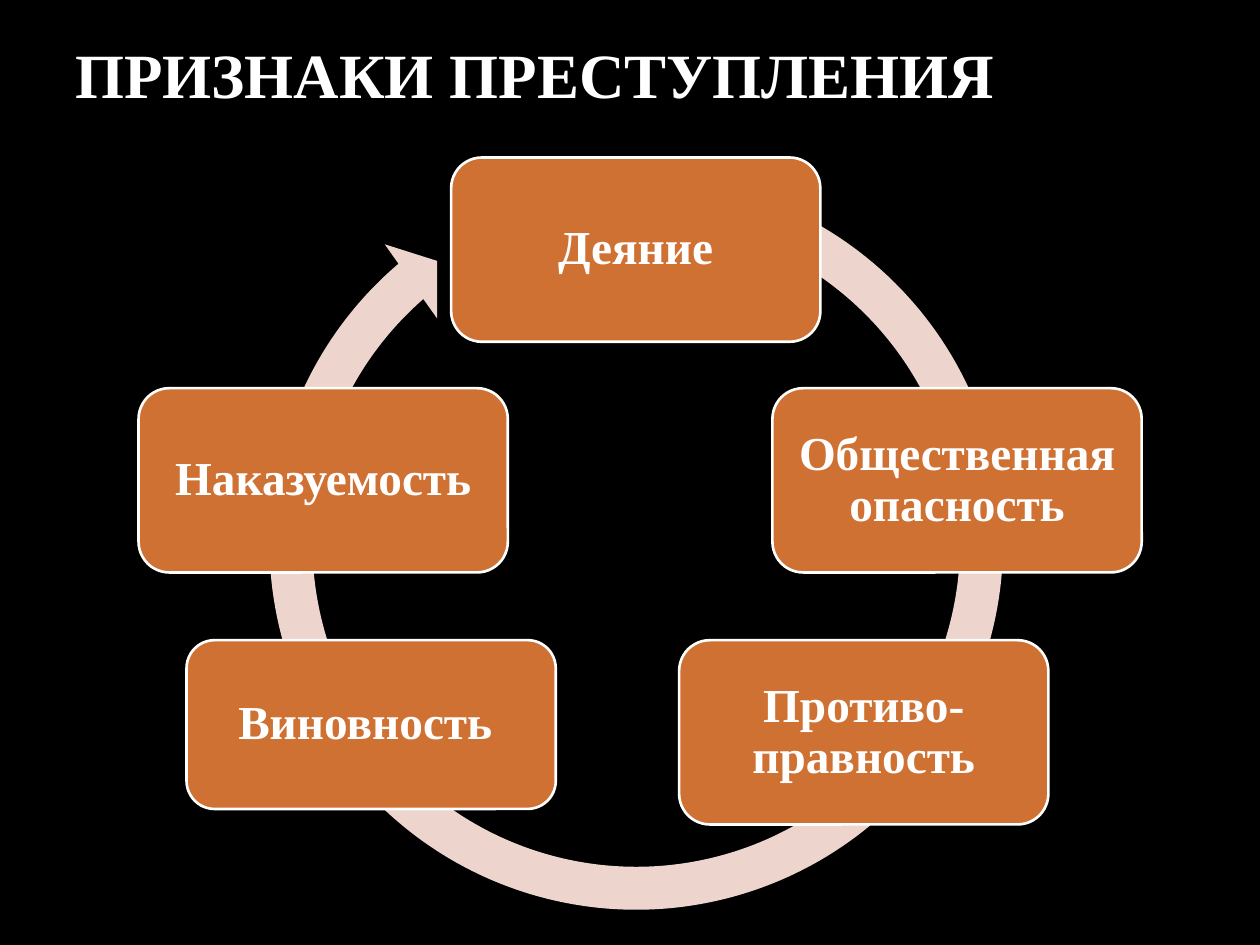
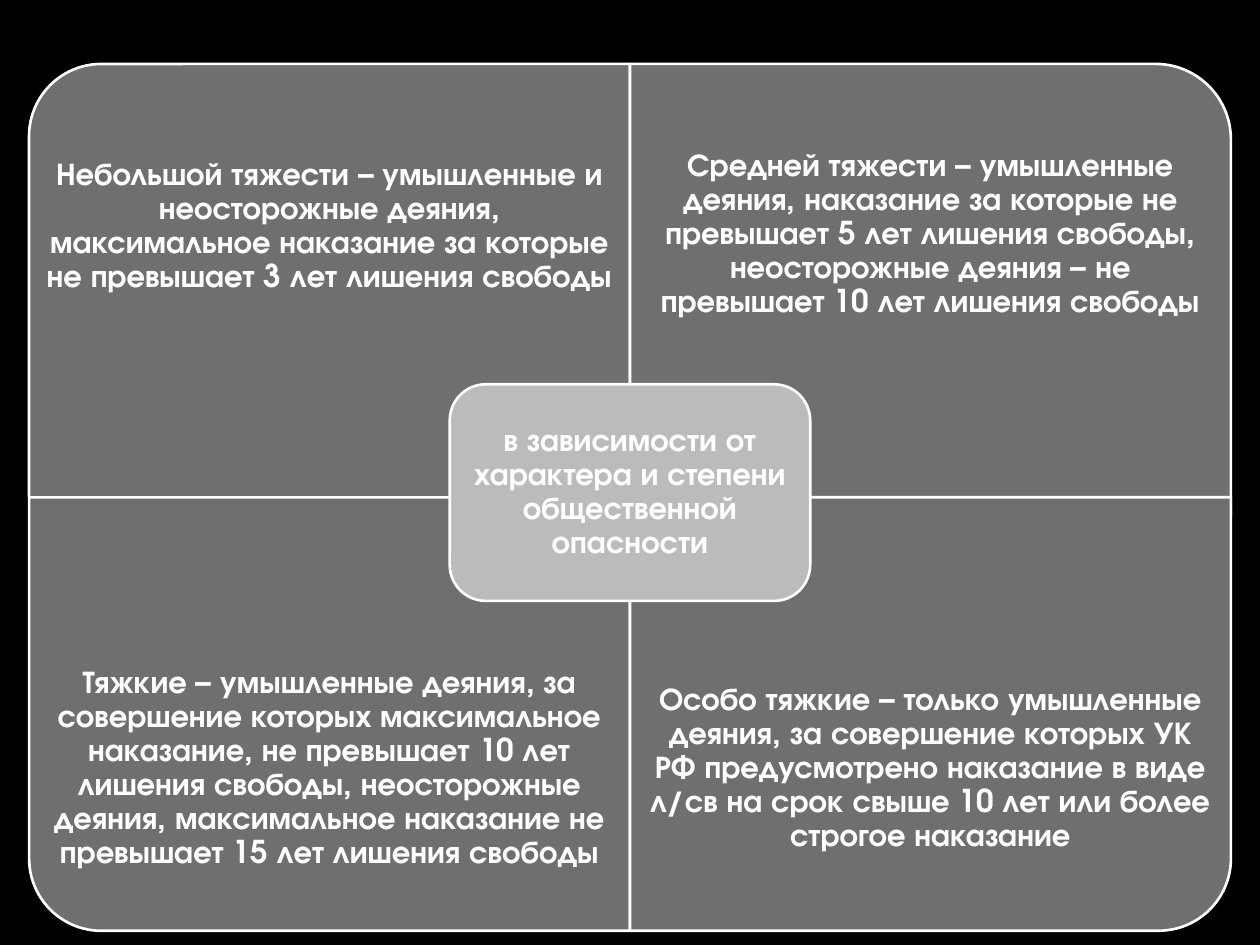
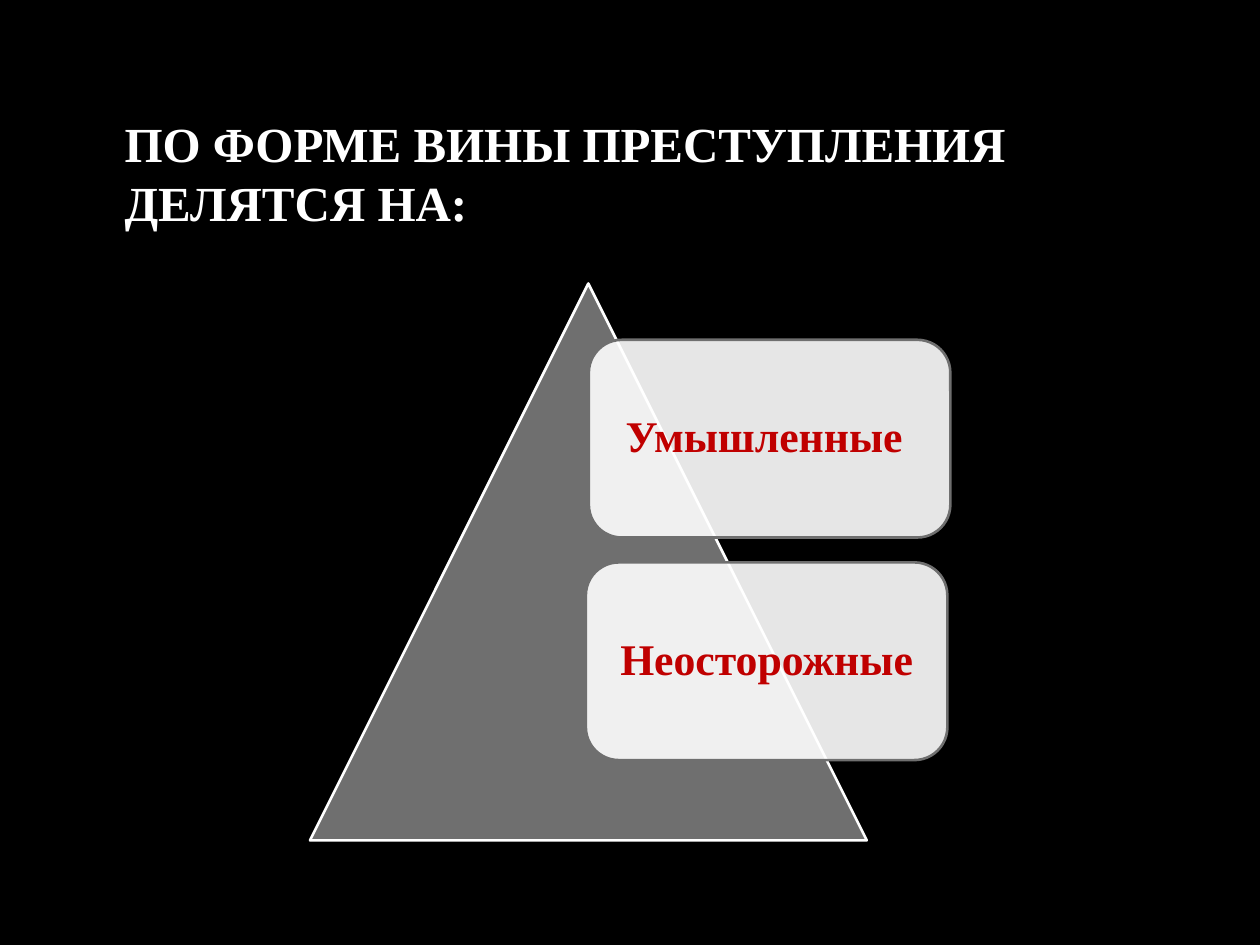
from lxml import etree
from pptx import Presentation
from pptx.dml.color import RGBColor
from pptx.enum.shapes import MSO_SHAPE
from pptx.enum.text import MSO_ANCHOR, PP_ALIGN
from pptx.oxml.ns import qn
from pptx.util import Pt

ROUNDED = MSO_SHAPE.ROUNDED_RECTANGLE
ONE_ROUND = MSO_SHAPE.ROUND_1_RECTANGLE
TRIANGLE = MSO_SHAPE.ISOSCELES_TRIANGLE
RING_ARROW = MSO_SHAPE.CIRCULAR_ARROW
LEFT, CENTER = PP_ALIGN.LEFT, PP_ALIGN.CENTER
MIDDLE = MSO_ANCHOR.MIDDLE

SERIF, SANS = "Times New Roman", "TeX Gyre Adventor"
BLACK, WHITE, RED = "000000", "FFFFFF", "C00000"
ORANGE, PINK = "CF7133", "EDD5CE"
GRAY, LIGHT_GRAY = "6F6F6F", "BBBBBB"
LINE_WIDTH = 1.5

SIGN_SIZE = (211, 105.3)
SIGNS = [
    ("Деяние", 257.8, 90, 105.3),
    ("Общественная опасность", 441.4, 221.8, 105.3),
    ("Противо-правность", 388.1, 365.8, 105.3),
    ("Виновность ", 106.6, 365.8, 96.5),
    ("Наказуемость", 79.2, 221.8, 105.3),
]

QUAD_W, QUAD_H = 343.4, 247.7
QUAD_LEFT, QUAD_TOP = 16.6, 36.5
# text, column, row, rotation, height, text height
CATEGORIES = [
    ("Небольшой тяжести – умышленные и неосторожные деяния, максимальное "
     "наказание за которые не превышает 3 лет лишения свободы",
     0, 0, 270, QUAD_H, 185.8),
    ("Средней тяжести – умышленные деяния, наказание за которые не "
     "превышает 5 лет лишения свободы, неосторожные деяния – не превышает "
     "10 лет лишения свободы", 1, 0, 0, 258.5, 194.4),
    ("Тяжкие – умышленные деяния, за совершение которых максимальное "
     "наказание, не превышает 10 лет лишения свободы, неосторожные деяния, "
     "максимальное наказание не превышает 15 лет лишения свободы",
     0, 1, 180, QUAD_H, 185.8),
    ("Особо тяжкие – только умышленные деяния, за совершение которых УК РФ "
     "предусмотрено наказание в виде л/св на срок свыше 10 лет или более "
     "строгое наказание", 1, 1, 90, QUAD_H, 185.8),
]

GUILT_FORMS = [("Умышленные ", 336.5, 194.2), ("Неосторожные", 334.8, 321.4)]


def rgb(value):
    return RGBColor.from_string(value)


def add_slide(prs):
    slide = prs.slides.add_slide(prs.slide_layouts[6])
    fill = slide.background.fill
    fill.solid()
    fill.fore_color.rgb = rgb(BLACK)
    return slide


def set_text(sp, text, size, font=SERIF, color=WHITE, margins=(7.2, 3.6),
             align=CENTER, spacing=0.9):
    """Write one bold paragraph, vertically centred; margins are (x, y)."""
    tf = sp.text_frame
    x, y = (Pt(m) for m in margins)
    frame = {"word_wrap": True, "vertical_anchor": MIDDLE, "margin_left": x,
             "margin_right": x, "margin_top": y, "margin_bottom": y}
    for name, value in frame.items():
        setattr(tf, name, value)
    p = tf.paragraphs[0]
    p.alignment, p.line_spacing = align, spacing
    r = p.add_run()
    r.text = text
    for name, value in {"name": font, "size": Pt(size), "bold": True}.items():
        setattr(r.font, name, value)
    r.font.color.rgb = rgb(color)


def add_text(slide, box, text, size, **style):
    sp = slide.shapes.add_textbox(*map(Pt, box))
    set_text(sp, text, size, **style)


def add_title(slide, box, text, size):
    add_text(slide, box, text, size, align=LEFT, spacing=1.0)


def add_shape(slide, kind, box, fill, line=WHITE, alpha=None):
    """Draw a preset shape; alpha is the opacity of its fill in percent."""
    sp = slide.shapes.add_shape(kind, *map(Pt, box))
    sp.shadow.inherit = False
    sp.fill.solid()
    sp.fill.fore_color.rgb = rgb(fill)
    if alpha is not None:
        color = sp.fill._xPr.find(qn("a:solidFill"))[0]
        etree.SubElement(color, qn("a:alpha"), val=str(alpha * 1000))
    if line:
        sp.line.color.rgb = rgb(line)
        sp.line.width = Pt(LINE_WIDTH)
    else:
        sp.line.fill.background()
    return sp


def add_quadrant(slide, text, column, row, rotation, height, text_height):
    """Draw a quarter whose rounded corner is turned to the outside."""
    left = QUAD_LEFT + column * QUAD_W
    top = QUAD_TOP + row * QUAD_H
    w, h = QUAD_W, height
    if rotation in (90, 270):
        w, h = h, w
    box = (left + (QUAD_W - w) / 2, top + (height - h) / 2, w, h)
    add_shape(slide, ONE_ROUND, box, GRAY).rotation = rotation
    text_top = top + row * (QUAD_H - text_height)
    add_text(slide, (left, text_top, QUAD_W, text_height), text, 18,
             font=SANS, margins=(10.1, 10.1))


def build_signs(prs):
    slide = add_slide(prs)
    add_title(slide, (36, 0, 648, 84.2), "ПРИЗНАКИ ПРЕСТУПЛЕНИЯ", 36)
    ring = add_shape(slide, RING_ARROW, (140.4, 87.1, 446.4, 446.4), PINK,
                     line=None)
    for i, value in enumerate((0.055, 3.307, 137.558, 173.982, 0.058)):
        ring.adjustments[i] = value
    for text, left, top, height in SIGNS:
        sp = add_shape(slide, ROUNDED, (left, top, SIGN_SIZE[0], height),
                       ORANGE)
        set_text(sp, text, 27, margins=(7.9, 7.9))


def build_categories(prs):
    slide = add_slide(prs)
    for category in CATEGORIES:
        add_quadrant(slide, *category)
    w, h = 206, 123.8
    center = (QUAD_LEFT + QUAD_W - w / 2, 219.6, w, h)
    sp = add_shape(slide, ROUNDED, center, LIGHT_GRAY)
    set_text(sp, "в зависимости от характера и степени общественной опасности",
             18, font=SANS, margins=(5, 5))


def build_guilt_forms(prs):
    slide = add_slide(prs)
    add_title(slide, (64.1, 46.8, 591.1, 103.7),
              "ПО ФОРМЕ ВИНЫ ПРЕСТУПЛЕНИЯ ДЕЛЯТСЯ НА:", 28)
    add_shape(slide, TRIANGLE, (177.1, 162, 318.2, 318.2), GRAY)
    for text, left, top in GUILT_FORMS:
        sp = add_shape(slide, ROUNDED, (left, top, 206.6, 113), WHITE,
                       line=GRAY, alpha=90)
        set_text(sp, text, 25, color=RED, margins=(7.2, 7.2))


def main():
    prs = Presentation()
    prs.slide_width, prs.slide_height = Pt(720), Pt(540)
    build_signs(prs)
    build_categories(prs)
    build_guilt_forms(prs)
    prs.save("out.pptx")


if __name__ == "__main__":
    main()
